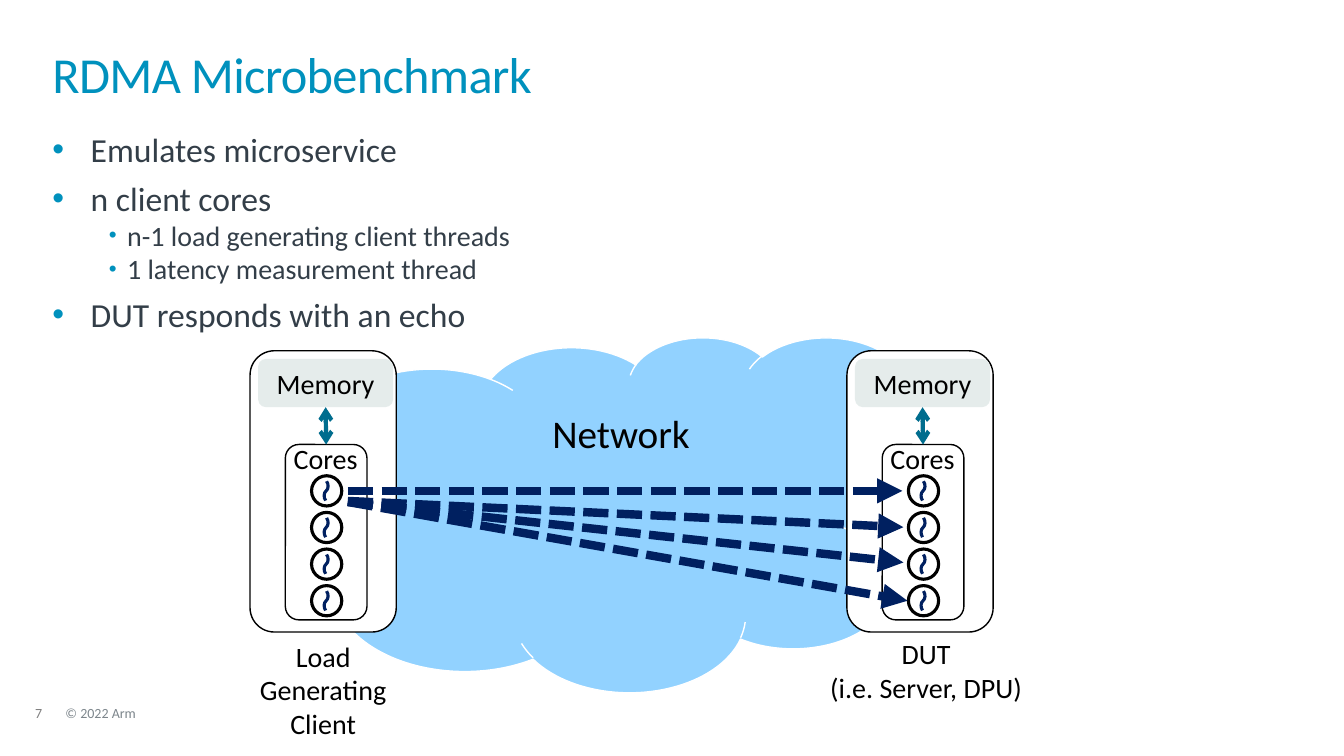
from lxml.etree import SubElement
from pptx import Presentation
from pptx.dml.color import RGBColor
from pptx.enum.dml import MSO_LINE
from pptx.enum.shapes import MSO_CONNECTOR, MSO_SHAPE
from pptx.enum.text import MSO_ANCHOR, PP_ALIGN
from pptx.oxml.ns import qn
from pptx.util import Inches, Pt

FONT = "Calibri"
COLORS = {
    "title": "0091BD", "body": "333E48", "page": "7F7F7F", "legal": "7D868C",
    "cloud": "92D2FF", "memory": "E5ECEB", "bus": "006D8E", "flow": "002060",
    "black": "000000", "white": "FFFFFF",
}
BULLETS = [
    (0, "Emulates microservice"),
    (0, "n client cores"),
    (1, "n-1 load generating client threads"),
    (1, "1 latency measurement thread"),
    (0, "DUT responds with an echo"),
]
LEVELS = [(24, 6, 0.38, 0.38, 100), (20, 0, 0.74, 0.18, 80)]


def color(name):
    """Return the named palette color."""
    return RGBColor.from_string(COLORS[name])


def style(para, size, tint, align=None):
    """Set the font and alignment of a paragraph."""
    para.alignment = align
    para.font.name = FONT
    para.font.size = Pt(size)
    para.font.color.rgb = color(tint)


def label(slide, box, lines, size, tint="black", align=PP_ALIGN.CENTER,
          inset=True, wrap=False, space=None):
    """Add a text box with one paragraph per line."""
    frame = slide.shapes.add_textbox(*map(Inches, box)).text_frame
    frame.word_wrap = wrap
    if not inset:
        frame.margin_left = frame.margin_right = 0
        frame.margin_top = frame.margin_bottom = 0
    frame.text = "\n".join(lines)
    for para in frame.paragraphs:
        style(para, size, tint, align)
        para.line_spacing = space
    return frame


def block(slide, kind, box, fill=None, line=None, width=1):
    """Add a preset shape with the given fill and outline."""
    shape = slide.shapes.add_shape(kind, *map(Inches, box))
    shape.shadow.inherit = False
    if fill:
        shape.fill.solid()
        shape.fill.fore_color.rgb = color(fill)
    else:
        shape.fill.background()
    if line:
        shape.line.color.rgb = color(line)
        shape.line.width = Pt(width)
    else:
        shape.line.fill.background()
    return shape


def link(slide, ends, tint, width, kind=MSO_CONNECTOR.STRAIGHT, head=None, tail=None):
    """Add a connector with optional arrowheads."""
    wire = slide.shapes.add_connector(kind, *map(Inches, ends))
    wire.line.color.rgb = color(tint)
    wire.line.width = Pt(width)
    for tag, form in (("a:headEnd", head), ("a:tailEnd", tail)):
        if form:
            SubElement(wire.line._get_or_add_ln(), qn(tag)).set("type", form)
    SubElement(wire._element.spPr, qn("a:effectLst"))
    return wire


def header(slide, box):
    """Add the slide title."""
    frame = label(slide, box, ["RDMA Microbenchmark"], 36, "title",
                  PP_ALIGN.LEFT, False, True, 0.85)
    frame.paragraphs[0].runs[0]._r.get_or_add_rPr().set("spc", "-50")


def bullets(slide, box):
    """Add the two-level bullet list."""
    frame = label(slide, box, [], 24, "body", PP_ALIGN.LEFT, False, True)
    for index, (level, text) in enumerate(BULLETS):
        size, before, left, hang, scale = LEVELS[level]
        para = frame.add_paragraph() if index else frame.paragraphs[0]
        para.text = text
        para.level = level
        para.space_before = Pt(before if index else 0)
        props = para._p.get_or_add_pPr()
        for node in props.findall(qn("a:defRPr")):
            props.remove(node)
        props.set("marL", str(Inches(left)))
        props.set("indent", str(-Inches(hang)))
        tint = SubElement(props, qn("a:buClr"))
        SubElement(tint, qn("a:srgbClr")).set("val", COLORS["title"])
        SubElement(props, qn("a:buSzPct")).set("val", str(scale * 1000))
        SubElement(props, qn("a:buFont")).set("typeface", "Arial")
        SubElement(props, qn("a:buChar")).set("char", "•")
        style(para, size, "body", PP_ALIGN.LEFT)


def core(slide, left, top):
    """Draw one core as a ring around a thread mark."""
    block(slide, MSO_SHAPE.OVAL, (left, top, 0.3, 0.3), None, "black", 2.25)
    ends = (left + 0.07, top + 0.09, left + 0.22, top + 0.21)
    mark = link(slide, ends, "flow", 2.25, MSO_CONNECTOR.CURVE)
    mark._element.spPr.xfrm.set("rot", str(54 * 60000))


def host(slide, left, top):
    """Draw one machine with its memory and four cores."""
    block(slide, MSO_SHAPE.ROUNDED_RECTANGLE, (left, top, 1.45, 2.79), "white", "black")
    cores = block(slide, MSO_SHAPE.ROUNDED_RECTANGLE,
                  (left + 0.35, top + 0.93, 0.81, 1.74), "white", "black")
    label(slide, (left + 0.33, top + 0.85, 0.84, 0.44), ["Cores"], 20)
    memory = block(slide, MSO_SHAPE.ROUNDED_RECTANGLE,
                   (left + 0.08, top + 0.08, 1.34, 0.48), "memory")
    memory.text_frame.text = "Memory"
    memory.text_frame.vertical_anchor = MSO_ANCHOR.MIDDLE
    style(memory.text_frame.paragraphs[0], 20, "black", PP_ALIGN.CENTER)
    bus = link(slide, (0, 0, 1, 1), "bus", 3, head="arrow", tail="arrow")
    bus.begin_connect(memory, 2)
    bus.end_connect(cores, 0)
    for index in range(4):
        core(slide, left + 0.61, top + 1.24 + index * 1.09 / 3)


def network(slide, left, top):
    """Draw the cloud, both hosts and the flows between them."""
    block(slide, MSO_SHAPE.CLOUD, (left, top, 7.36, 3.52), "cloud", "white")
    host(slide, left, top + 0.14)
    label(slide, (left, top + 2.95, 1.45, 1.11), ["Load", "Generating", "Client"], 20)
    host(slide, left + 5.92, top + 0.14)
    label(slide, (left + 5.64, top + 2.93, 2.13, 0.77),
          ["DUT", "(i.e. Server, DPU)"], 20, wrap=True)
    for start, right, end in ((1.53, 6.47, 1.53), (1.63, 6.48, 1.89),
                              (1.64, 6.48, 2.24), (1.64, 6.52, 2.62)):
        ends = (left + 0.97, top + start, left + right, top + end)
        flow = link(slide, ends, "flow", 6, tail="triangle")
        flow.line.dash_style = MSO_LINE.SQUARE_DOT
    label(slide, (left + 2.89, top + 0.67, 1.58, 0.57), ["Network"], 28)


def footer(slide, left, top):
    """Add the page number and the copyright line."""
    for shift, width, text, tint in ((0, 0.3, "7", "page"),
                                     (0.3, 5.07, "© 2022 Arm", "legal")):
        label(slide, (left + shift, top, width, 0.15), [text], 10, tint,
              PP_ALIGN.LEFT, False, True, 0.9)


def main():
    """Build and save the slide."""
    deck = Presentation()
    deck.slide_width, deck.slide_height = Inches(13.33), Inches(7.5)
    slide = deck.slides.add_slide(deck.slide_layouts[6])
    footer(slide, 0.35, 7.01)
    network(slide, 2.48, 3.34)
    header(slide, (0.52, 0.52, 12.28, 0.72))
    bullets(slide, (0.52, 1.28, 12.28, 0.94))
    deck.save("out.pptx")


if __name__ == "__main__":
    main()
